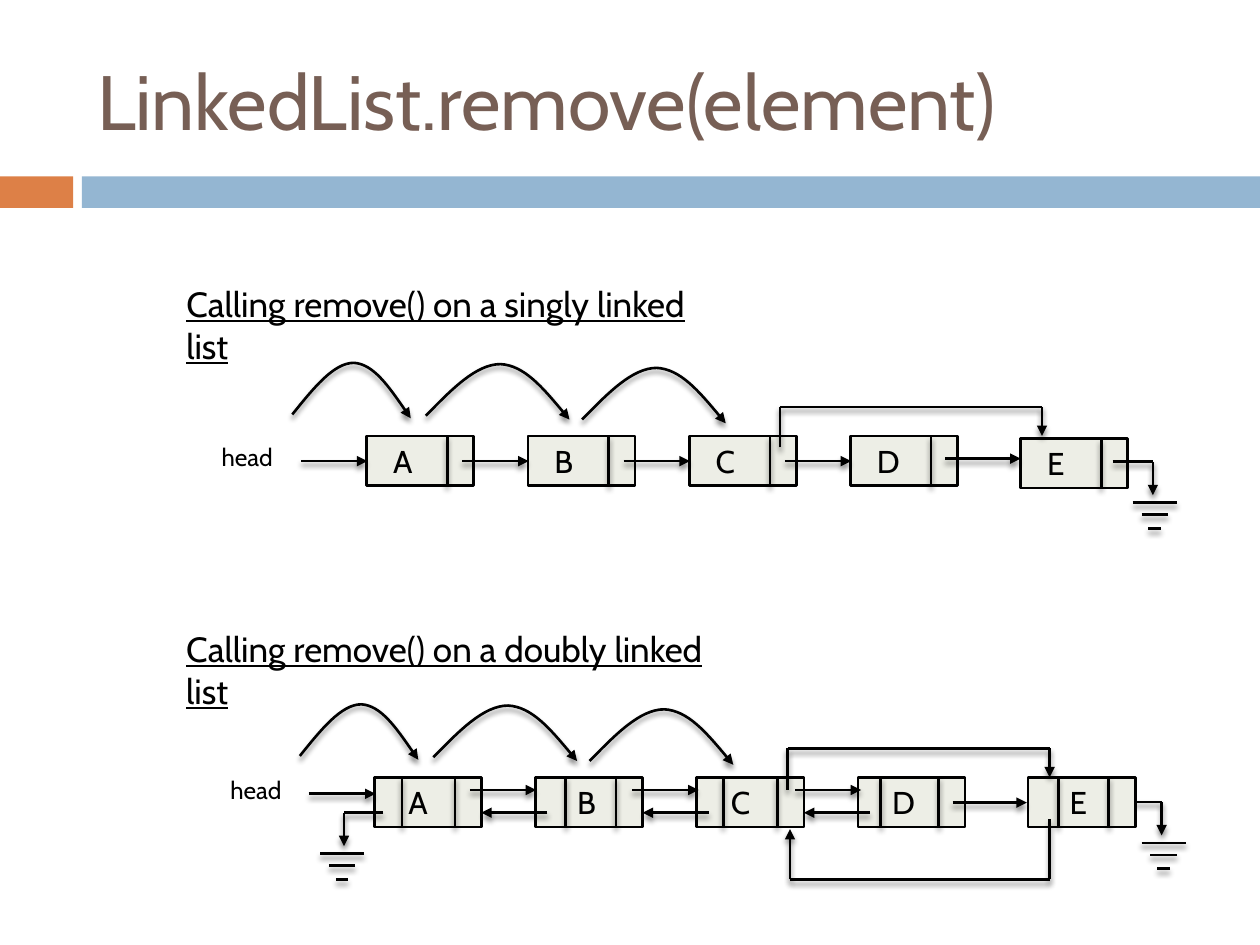
"""Build a slide on removing an element from singly and doubly linked lists."""
from itertools import pairwise

from lxml import etree
from pptx import Presentation
from pptx.dml.color import RGBColor
from pptx.enum.shapes import MSO_CONNECTOR, MSO_SHAPE
from pptx.enum.text import MSO_ANCHOR, PP_ALIGN
from pptx.oxml.ns import qn
from pptx.util import Inches, Pt

RECTANGLE = MSO_SHAPE.RECTANGLE
STRAIGHT = MSO_CONNECTOR.STRAIGHT
MIDDLE = MSO_ANCHOR.MIDDLE
LEFT = PP_ALIGN.LEFT
TITLE_ONLY = 5
COLUMNS, ROWS = 100, 75
NODE_WIDTH, NODE_HEIGHT = 8.5, 3.95
NODE_STEP, POINTER_OFFSET = 12.8, 6.4


def color(value):
    """Turn a hex string into a colour."""
    return RGBColor.from_string(value)


class ListDiagram:
    """Hold the style and the slide, and draw each kind of element on its grid."""

    font_name = "Cabin"
    ink, node_fill, title_color = "000000", "EDEEE6", "775F55"
    line_width = Pt(1.5)

    def __init__(self, presentation):
        """Add a titled slide and work out the size of a grid cell."""
        self.slide = presentation.slides.add_slide(presentation.slide_layouts[TITLE_ONLY])
        self.shapes = self.slide.shapes
        self.column = presentation.slide_width / COLUMNS
        self.row = presentation.slide_height / ROWS

    def place(self, x, y):
        """Turn columns and rows into slide lengths."""
        return round(x * self.column), round(y * self.row)

    def add_run(self, frame, text, size, ink=None, underline=False):
        """Add one left-aligned run to a text frame."""
        paragraph = frame.paragraphs[0]
        paragraph.alignment = LEFT
        run = paragraph.add_run()
        run.text = text
        run.font.name = self.font_name
        run.font.size = Pt(size)
        run.font.underline = underline
        run.font.color.rgb = color(ink or self.ink)

    def title(self, text, x, y, width, height):
        """Move and fill the title placeholder."""
        shape = self.shapes.title
        shape.left, shape.top = self.place(x, y)
        shape.width, shape.height = self.place(width, height)
        shape.text_frame.vertical_anchor = MIDDLE
        self.add_run(shape.text_frame, text, 44, self.title_color)

    def text(self, text, x, y, width, height, size, underline=False):
        """Add a text box."""
        shape = self.shapes.add_textbox(*self.place(x, y), *self.place(width, height))
        shape.text_frame.word_wrap = True
        self.add_run(shape.text_frame, text, size, underline=underline)

    def box(self, x, y, width, height, fill):
        """Add a flat rectangle without an outline."""
        shape = self.shapes.add_shape(RECTANGLE, *self.place(x, y), *self.place(width, height))
        shape.shadow.inherit = False
        shape.fill.solid()
        shape.fill.fore_color.rgb = color(fill)
        shape.line.fill.background()
        return shape

    def outline(self, line):
        """Give a line the common width and colour."""
        line.width = self.line_width
        line.color.rgb = color(self.ink)

    def finish(self, shape, arrow):
        """Style a stroke and add its soft shadow and arrowhead."""
        self.outline(shape.line)
        properties = shape._element.spPr
        if arrow:
            etree.SubElement(properties.find(qn("a:ln")), qn("a:tailEnd"), type="triangle")
        effects = etree.SubElement(properties, qn("a:effectLst"))
        shadow = etree.SubElement(
            effects, qn("a:outerShdw"), blurRad=str(Pt(3)), dist=str(Pt(2.4)),
            dir="5400000", rotWithShape="0")
        tone = etree.SubElement(shadow, qn("a:srgbClr"), val=self.ink)
        etree.SubElement(tone, qn("a:alpha"), val="45000")

    def route(self, *points, arrow=True):
        """Join points with straight lines, the last one pointed."""
        segments = list(pairwise(points))
        for number, (start, end) in enumerate(segments, 1):
            connector = self.shapes.add_connector(STRAIGHT, *self.place(*start), *self.place(*end))
            self.finish(connector, arrow and number == len(segments))

    def hop(self, x, y, width):
        """Draw a curved arrow from a start point over a peak to its right."""
        share = width / 2
        points = [(x + share * step, y + rise) for step, rise in (
            (0.36, -2.1), (0.7, -4.1), (1.04, -4.1), (1.37, -4), (1.68, -1.9), (2, 0.3))]
        builder = self.shapes.build_freeform(*self.place(x, y))
        builder.add_line_segments([self.place(*point) for point in points], close=False)
        shape = builder.convert_to_shape()
        shape.fill.background()
        corners = list(shape._element.iter(qn("a:lnTo")))
        for group in (corners[:3], corners[3:]):
            curve = etree.Element(qn("a:cubicBezTo"))
            group[0].addprevious(curve)
            for corner in group:
                curve.append(corner[0])
                corner.getparent().remove(corner)
        self.finish(shape, True)

    def hops(self, x, y):
        """Draw the three steps that walk from the head to node C."""
        for across, down, width in ((0, 0, 9.4), (10.6, 0.1, 11.4), (23, 0.4, 11.4)):
            self.hop(x + across, y + down, width)

    def node(self, letter, x, y, indent, dividers):
        """Draw a list node with its letter and pointer cells."""
        shape = self.box(x, y, NODE_WIDTH, NODE_HEIGHT, self.node_fill)
        self.outline(shape.line)
        frame = shape.text_frame
        frame.vertical_anchor = MIDDLE
        frame.margin_left = round(indent * self.column)
        self.add_run(frame, letter, 18)
        for offset in dividers:
            self.route((x + offset, y), (x + offset, y + NODE_HEIGHT), arrow=False)

    def ground(self, start, x, bottom, shift):
        """Lead a pointer down to the null symbol."""
        self.route(start, (x, start[1]), (x, bottom))
        for half, drop in ((1.75, 0.6), (1.05, 1.55), (0.5, 2.65)):
            level = bottom + drop
            self.route((x + shift - half, level), (x + shift + half, level), arrow=False)


def draw_singly(diagram):
    """Draw the removal from the singly linked list."""
    diagram.text("Calling remove() on a singly linked list", 13.8, 21.9, 44.2, 4.4, 20, True)
    for number, letter in enumerate("ABCD"):
        diagram.node(letter, 29.1 + number * NODE_STEP, 34.6, 2.1, [POINTER_OFFSET])
    diagram.node("E", 81, 34.8, 2.1, [POINTER_OFFSET])
    diagram.text("head", 16.6, 34.6, 6.2, 3.4, 14)
    for number in range(4):
        x = 23.9 + number * NODE_STEP
        diagram.route((x, 36.6), (x + 5.25, 36.6))
    diagram.route((75, 36.4), (81, 36.4))
    diagram.hops(23.2, 32.9)
    diagram.route((61.9, 35.5), (61.9, 32.3), (82.7, 32.3), (82.7, 34.6))
    diagram.ground((88.3, 36.65), 91.5, 39.3, 0.15)


def draw_doubly(diagram):
    """Draw the removal from the doubly linked list."""
    diagram.text("Calling remove() on a doubly linked list", 13.8, 49.3, 45.6, 4.4, 20, True)
    diagram.hops(23.8, 60)
    diagram.ground((89, 63.65), 92.2, 66.3, 0.15)
    cells = (("A", 2.7, 2.2), ("B", 3.3, 2.4), ("C", 2.7, 2.1), ("D", 2.7, 1.8))
    for number, (letter, indent, divider) in enumerate(cells):
        x = 29.7 + number * NODE_STEP
        diagram.node(letter, x, 61.7, indent, [divider, POINTER_OFFSET])
    diagram.node("E", 81.6, 61.7, 3.3, [2.4, POINTER_OFFSET])
    diagram.text("head", 17.3, 61, 6.2, 3.4, 14)
    diagram.route((24.5, 63), (29.8, 63))
    for number in range(3):
        x = 37.3 + number * (NODE_STEP + 0.1)
        diagram.route((x, 62.7), (x + 5.25, 62.7))
        x = 38.2 + number * NODE_STEP
        diagram.route((x + 5.25, 64.5), (x, 64.5))
    diagram.route((75.6, 63.7), (81.5, 63.7))
    diagram.ground((30.4, 64.5), 27.3, 67.15, -0.15)
    diagram.route((83.3, 65), (83.3, 69.8), (62.7, 69.8), (62.7, 65.8))
    diagram.route((62.5, 62.7), (62.5, 59.4), (83.3, 59.4), (83.3, 61.7))


def main():
    """Build and save the presentation."""
    presentation = Presentation()
    presentation.slide_width, presentation.slide_height = Inches(10), Inches(7.5)
    diagram = ListDiagram(presentation)
    diagram.box(0, 14, 5.8, 2.5, "DD8047")
    diagram.box(6.5, 14, 93.5, 2.5, "94B6D2")
    diagram.title("LinkedList.remove(element)", 6.7, 2.5, 89.2, 10.8)
    draw_singly(diagram)
    draw_doubly(diagram)
    presentation.save("out.pptx")


if __name__ == "__main__":
    main()
